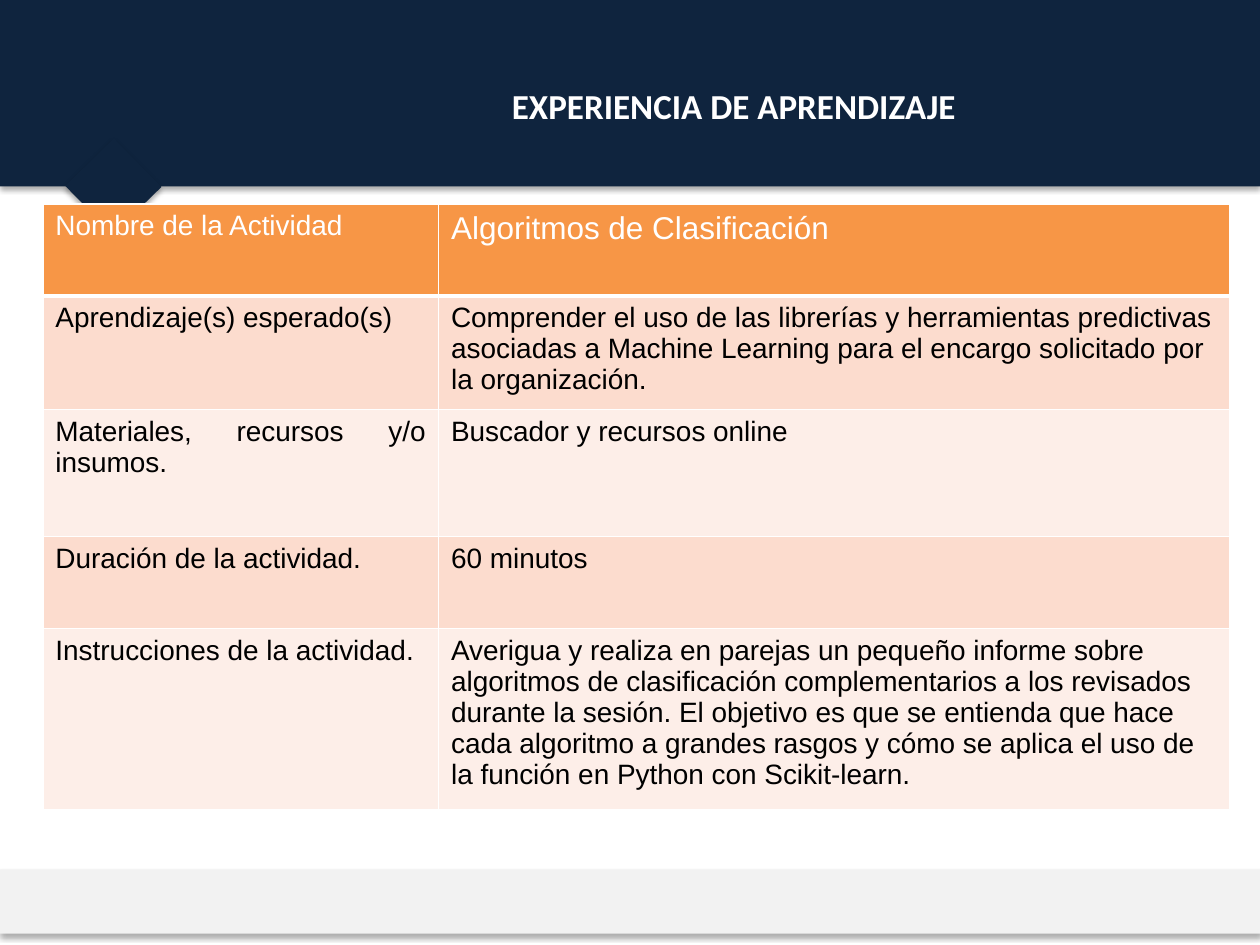
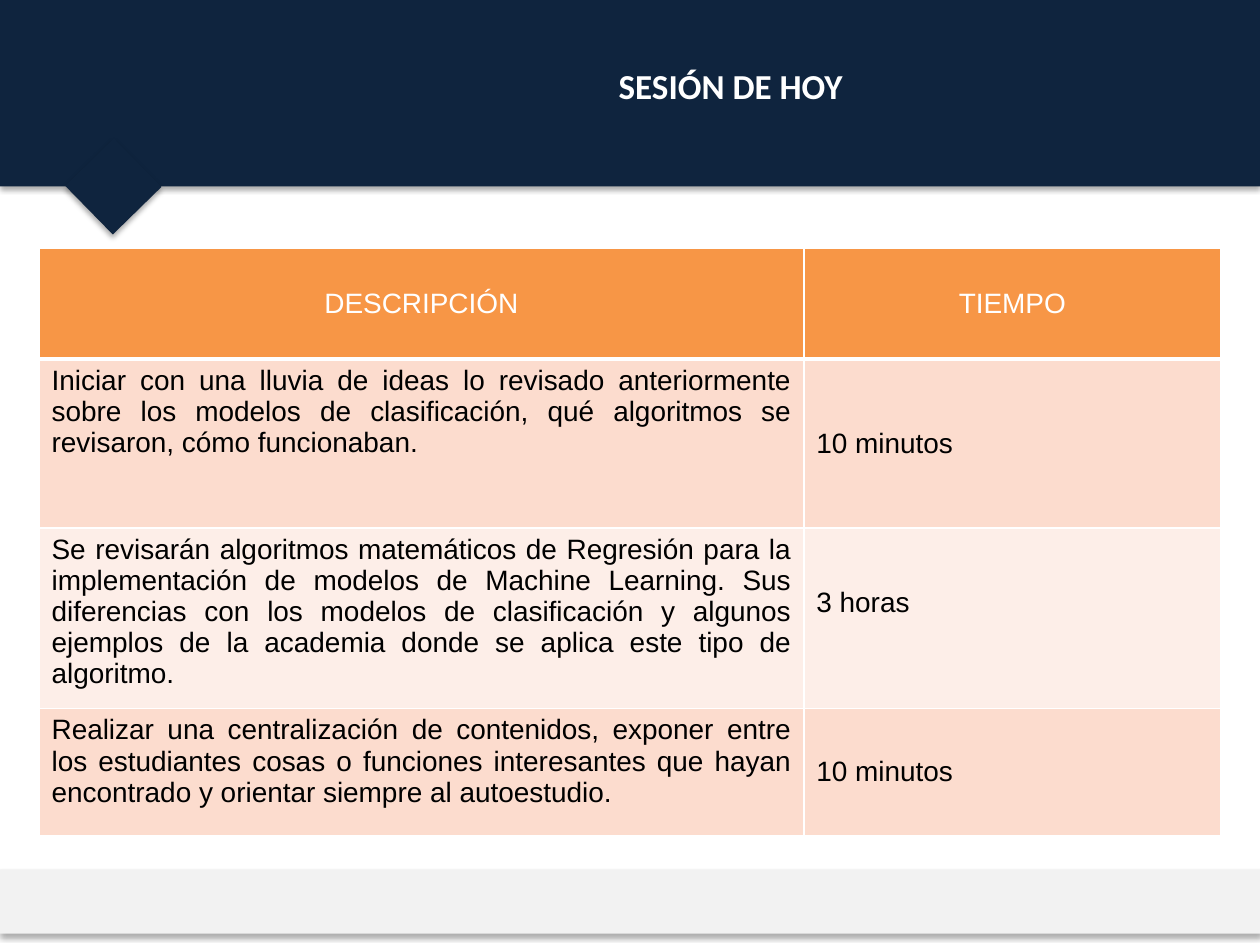
from lxml import etree
from pptx import Presentation
from pptx.dml.color import RGBColor
from pptx.enum.shapes import MSO_SHAPE as Shape
from pptx.enum.text import MSO_ANCHOR as Anchor, PP_ALIGN as Align
from pptx.oxml import parse_xml
from pptx.oxml.ns import nsdecls, qn
from pptx.util import Inches, Pt

NAVY = RGBColor(0x0F, 0x24, 0x3E)
PALE_GREY = RGBColor(0xF2, 0xF2, 0xF2)
ORANGE = RGBColor(0xF7, 0x96, 0x46)
PEACH = RGBColor(0xFC, 0xDC, 0xCE)
CREAM = RGBColor(0xFD, 0xEE, 0xE8)
WHITE = RGBColor(0xFF, 0xFF, 0xFF)
BLACK = RGBColor(0x00, 0x00, 0x00)

SLIDE_WIDTH, SLIDE_HEIGHT = 10, 7.5
BAND = (0, 0, SLIDE_WIDTH, 1.48)
FOOTER = (0, 6.9, SLIDE_WIDTH, 0.51)
DIAMOND = (0.63, 1.21, 0.54, 0.54)

TITLE_FONT = {"name": "Calibri", "size": Pt(20), "bold": True}
CELL_FONT = {"name": "Arial", "size": Pt(16), "bold": False}
THIN, THICK = Pt(1), Pt(3)

ACTIVITY_ROWS = [
    ("Nombre de la Actividad", "Algoritmos de Clasificación"),
    ("Aprendizaje(s) esperado(s)",
     "Comprender el uso de las librerías y herramientas predictivas asociadas "
     "a Machine Learning para el encargo solicitado por la organización."),
    ("Materiales, recursos y/o insumos.", "Buscador y recursos online"),
    ("Duración de la actividad.", "60 minutos"),
    ("Instrucciones de la actividad.",
     "Averigua y realiza en parejas un pequeño informe sobre algoritmos de "
     "clasificación complementarios a los revisados durante la sesión. El "
     "objetivo es que se entienda que hace cada algoritmo a grandes rasgos y "
     "cómo se aplica el uso de la función en Python con Scikit-learn."),
]
SESSION_ROWS = [
    ("DESCRIPCIÓN", "TIEMPO"),
    ("Iniciar con una lluvia de ideas lo revisado anteriormente sobre los "
     "modelos de clasificación, qué algoritmos se revisaron, cómo funcionaban.",
     "10 minutos"),
    ("Se revisarán algoritmos matemáticos de Regresión para la implementación "
     "de modelos de Machine Learning. Sus diferencias con los modelos de "
     "clasificación y algunos ejemplos de la academia donde se aplica este "
     "tipo de algoritmo.", "3 horas"),
    ("Realizar una centralización de contenidos, exponer entre los estudiantes "
     "cosas o funciones interesantes que hayan encontrado y orientar siempre "
     "al autoestudio.", "10 minutos"),
]


def apply_format(target, values):
    for attribute, value in values.items():
        setattr(target, attribute, value)


def write_paragraph(frame, text, font, color, align):
    paragraph = frame.paragraphs[0]
    paragraph.alignment = align
    run = paragraph.add_run()
    run.text = text
    apply_format(run.font, font)
    run.font.color.rgb = color


def add_shadow(panel):
    panel.shadow.inherit = False
    effects = panel.element.spPr.find(qn("a:effectLst"))
    effects.append(parse_xml(
        f'<a:outerShdw {nsdecls("a")} blurRad="{Pt(3.1)}" dist="{Pt(1.8)}" '
        'dir="5400000" rotWithShape="0"><a:srgbClr val="000000">'
        '<a:alpha val="33000"/></a:srgbClr></a:outerShdw>'))


def add_panel(slide, box, color, rotation=0):
    panel = slide.shapes.add_shape(Shape.RECTANGLE, *map(Inches, box))
    panel.fill.solid()
    panel.fill.fore_color.rgb = color
    panel.line.fill.background()
    panel.rotation = rotation
    add_shadow(panel)


def add_frame(slide):
    add_panel(slide, BAND, NAVY)
    add_panel(slide, FOOTER, PALE_GREY)
    add_panel(slide, DIAMOND, NAVY, 45.6)


def add_title(slide, box, text):
    frame = slide.shapes.add_textbox(*map(Inches, box)).text_frame
    frame.word_wrap = True
    write_paragraph(frame, text, TITLE_FONT, WHITE, Align.CENTER)


def add_borders(cell, top, bottom):
    properties = cell._tc.get_or_add_tcPr()
    widths = {"lnL": THIN, "lnR": THIN, "lnT": top, "lnB": bottom}
    for side, width in widths.items():
        line = etree.SubElement(properties, qn(f"a:{side}"), w=str(width))
        fill = etree.SubElement(line, qn("a:solidFill"))
        etree.SubElement(fill, qn("a:srgbClr"), val=str(WHITE))


def add_grid(slide, origin, widths, heights, rows, aligns):
    box = (*origin, sum(widths), sum(heights))
    table = slide.shapes.add_table(
        len(rows), len(widths), *map(Inches, box)).table
    for column, width in zip(table.columns, widths):
        column.width = Inches(width)
    for r, (texts, height) in enumerate(zip(rows, heights)):
        table.rows[r].height = Inches(height)
        color = WHITE if r == 0 else BLACK
        fill = ORANGE if r == 0 else (CREAM, PEACH)[r % 2]
        for c, text in enumerate(texts):
            cell = table.cell(r, c)
            add_borders(cell, THICK if r == 1 else THIN,
                        THICK if r == 0 else THIN)
            cell.fill.solid()
            cell.fill.fore_color.rgb = fill
            write_paragraph(cell.text_frame, text, CELL_FONT, color, aligns[c])
    return table


def build_activity(slide):
    add_frame(slide)
    add_title(slide, (3.48, 0.62, 4.69, 0.44), "EXPERIENCIA DE APRENDIZAJE")
    table = add_grid(slide, (0.34, 1.62), (3.14, 6.28),
                     (0.73, 0.9, 1.01, 0.73, 1.43), ACTIVITY_ROWS,
                     (Align.JUSTIFY, Align.LEFT))
    activity_name = table.cell(0, 1).text_frame.paragraphs[0].runs[0]
    activity_name.font.size = Pt(18)


def build_session(slide):
    add_frame(slide)
    add_title(slide, (2.23, 0.46, 7.14, 0.44), "SESIÓN DE HOY")
    table = add_grid(slide, (0.31, 1.97), (6.07, 3.31),
                     (0.88, 1.34, 1.43, 1.01), SESSION_ROWS,
                     (Align.JUSTIFY, Align.LEFT))
    for heading in table.rows[0].cells:
        heading.vertical_anchor = Anchor.MIDDLE
        heading.text_frame.paragraphs[0].alignment = Align.CENTER
    for r in range(1, len(SESSION_ROWS)):
        table.cell(r, 1).vertical_anchor = Anchor.MIDDLE
    table.cell(2, 1).margin_bottom = Inches(0.29)


def main():
    deck = Presentation()
    apply_format(deck, {"slide_width": Inches(SLIDE_WIDTH),
                        "slide_height": Inches(SLIDE_HEIGHT)})
    for build in (build_activity, build_session):
        build(deck.slides.add_slide(deck.slide_layouts[6]))
    deck.save("out.pptx")


if __name__ == "__main__":
    main()
